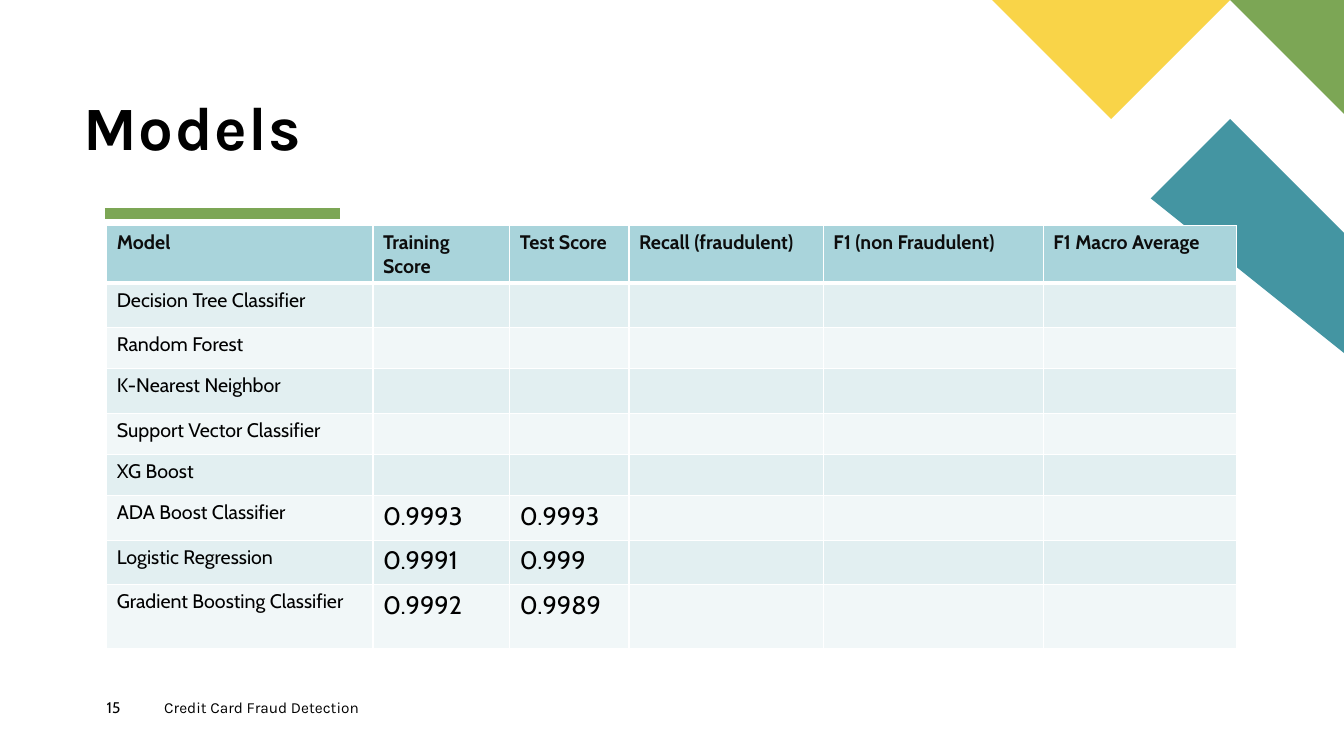
import pptx
import pptx.util
import pptx.dml.color
import pptx.enum.shapes
import pptx.enum.text
import pptx.oxml.ns
from lxml import etree

Cm, Pt = pptx.util.Cm, pptx.util.Pt
qn = pptx.oxml.ns.qn

# Content
TITLE = "Models"
HEAD = ["Model", "Training Score", "Test Score", "Recall (fraudulent)",
        "F1 (non Fraudulent)", "F1 Macro Average"]
ROWS = [
    ["Decision Tree Classifier"],
    ["Random Forest"],
    ["K-Nearest Neighbor"],
    ["Support Vector Classifier"],
    ["XG Boost"],
    ["ADA Boost Classifier", "0.9993", "0.9993"],
    ["Logistic Regression", "0.9991", "0.999"],
    ["Gradient Boosting Classifier", "0.9992", "0.9989"],
]
WIDTHS = [6.71, 3.45, 3, 4.9, 5.54, 4.88]
HEIGHTS = [1.44, 1.12, 1.04, 1.12, 1.04, 1.04, 1.12, 1.12, 1.6]
# Text, font, left, width
FOOT = [("Credit Card Fraud Detection", "Karla", 4.14, 5.77),
        ("15", "Cabin", 2.69, 1.45)]
# Colour, corner points in cm
BANDS = [
    ("4495A2", [(33.87, 9.24), (33.87, 6.12), (30.78, 3.02), (29.21, 4.57)]),
    ("7CA655", [(33.87, 3.02), (33.87, 0), (30.86, 0)]),
    ("F9D448", [(24.64, 0), (27.66, 3.02), (30.71, 0)]),
]
GREEN, BLACK, WHITE = "7CA655", "000000", "FFFFFF"


def rgb(code):
    return pptx.dml.color.RGBColor.from_string(code)


def style(para, name, size, color=BLACK, bold=False):
    font = para.font
    font.name, font.size, font.bold = name, Pt(size), bold
    font.color.rgb = rgb(color)


def clear(frame):
    frame.margin_left = frame.margin_right = 0
    frame.margin_top = frame.margin_bottom = 0
    frame.word_wrap = True


def border(cell, base):
    props = cell._tc.get_or_add_tcPr()
    for side, width in (("L", 1), ("R", 1), ("T", 1), ("B", base)):
        line = etree.SubElement(props, qn("a:ln" + side), w=str(Pt(width)))
        fill = etree.SubElement(line, qn("a:solidFill"))
        etree.SubElement(fill, qn("a:srgbClr"), val=WHITE)


deck = pptx.Presentation()
deck.slide_width, deck.slide_height = Cm(33.87), Cm(19.05)
slide = deck.slides.add_slide(deck.slide_layouts[5])
shapes = slide.shapes

# Green rule under the title
rule = shapes.add_connector(pptx.enum.shapes.MSO_CONNECTOR.STRAIGHT,
                            Cm(2.64), Cm(5.38), Cm(8.58), Cm(5.38))
rule.line.color.rgb = rgb(GREEN)
rule.line.width = Pt(8)
etree.SubElement(rule._element.spPr, qn("a:effectLst"))

# Corner bands
for color, points in BANDS:
    path = shapes.build_freeform(*points[0], scale=Cm(1))
    path.add_line_segments(points[1:], close=True)
    band = path.convert_to_shape()
    band.shadow.inherit = False
    band.fill.solid()
    band.fill.fore_color.rgb = rgb(color)
    band.line.fill.background()

# Title
title = shapes.title
title.left, title.top = Cm(2.11), Cm(2.44)
title.width, title.height = Cm(20.24), Cm(1.7)
frame = title.text_frame
frame.text = TITLE
clear(frame)
frame.auto_size = pptx.enum.text.MSO_AUTO_SIZE.NONE
frame.vertical_anchor = pptx.enum.text.MSO_ANCHOR.BOTTOM
para = frame.paragraphs[0]
para.alignment = pptx.enum.text.PP_ALIGN.LEFT
para.line_spacing = 0.9
style(para, "Karla", 44, bold=True)
para.runs[0]._r.get_or_add_rPr().set("spc", "100")

# Footer and slide number
for text, name, left, width in FOOT:
    box = shapes.add_textbox(Cm(left), Cm(17.58), Cm(width), Cm(0.8))
    clear(box.text_frame)
    box.text_frame.text = text
    style(box.text_frame.paragraphs[0], name, 11)

# Score table
grid = shapes.add_table(len(HEIGHTS), len(WIDTHS), Cm(2.69), Cm(5.69),
                        Cm(sum(WIDTHS)), Cm(sum(HEIGHTS))).table
grid.first_row = grid.horz_banding = False
for col, width in zip(grid.columns, WIDTHS):
    col.width = Cm(width)
for row, height in zip(grid.rows, HEIGHTS):
    row.height = Cm(height)

for r, words in enumerate([HEAD] + ROWS):
    top = r == 0
    shade = "A9D4DB" if top else ("F1F7F8", "E2EFF1")[r % 2]
    for c in range(len(HEAD)):
        cell = grid.cell(r, c)
        border(cell, 3 if top else 1)
        cell.fill.solid()
        cell.fill.fore_color.rgb = rgb(shade)
        if c < len(words):
            cell.text = words[c]
        size = 14 if top or c == 0 else 18
        style(cell.text_frame.paragraphs[0], "Cabin", size,
              "0D0D0D" if top else BLACK, top)

deck.save("out.pptx")
